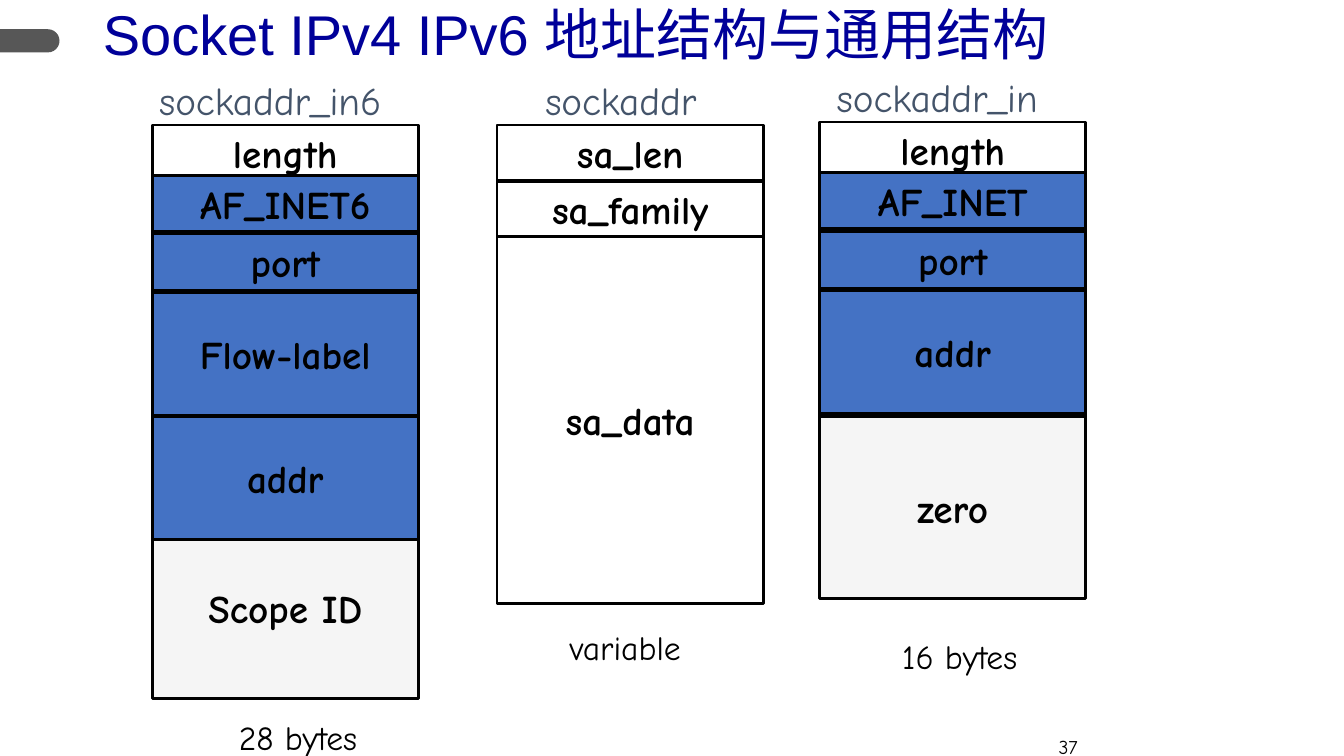
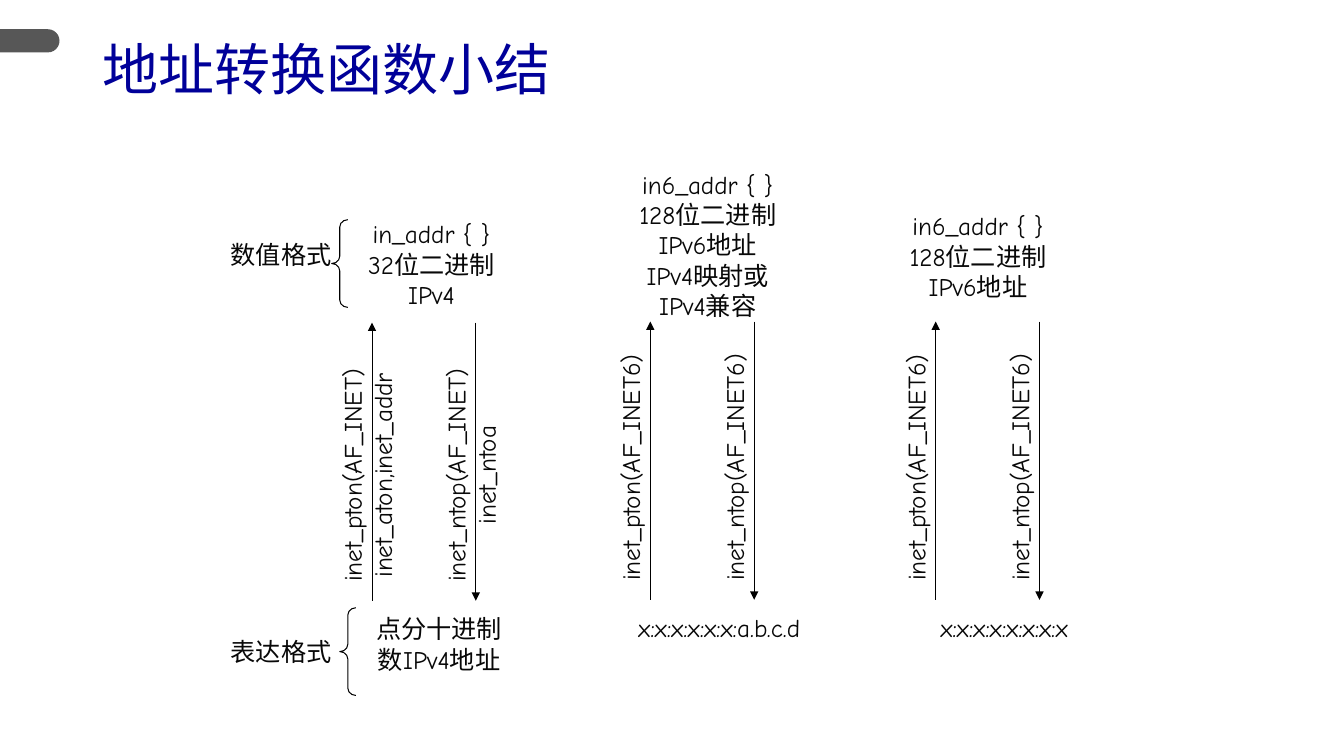
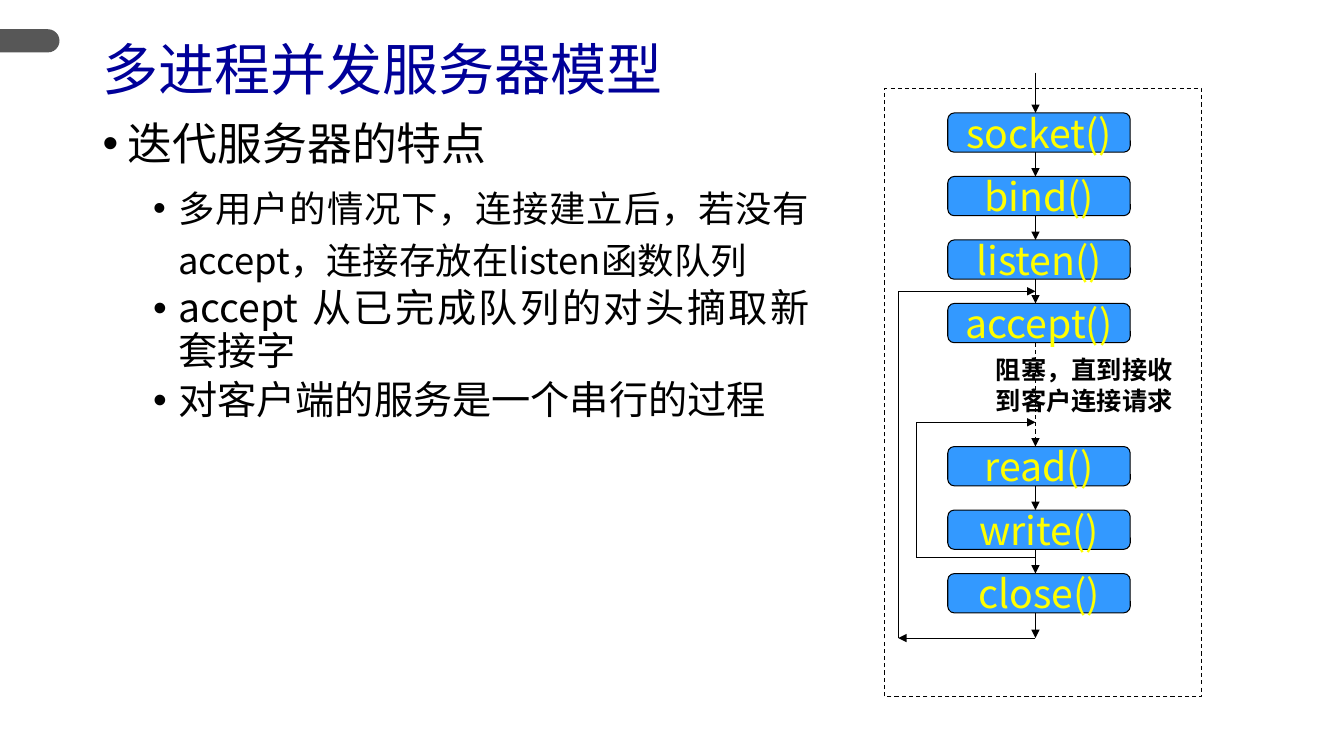
import dataclasses
import itertools

import lxml.etree
import pptx
import pptx.dml.color
import pptx.enum.dml
import pptx.enum.shapes
import pptx.enum.text
import pptx.oxml.ns
import pptx.util

SHAPE = pptx.enum.shapes.MSO_SHAPE
ALIGN = pptx.enum.text.PP_ALIGN
ANCHOR = pptx.enum.text.MSO_ANCHOR
DASH = pptx.enum.dml.MSO_LINE.DASH


@dataclasses.dataclass(frozen=True)
class Theme:
    black: str = "000000"
    ink: str = "080808"
    navy: str = "000099"
    slate: str = "44546A"
    gray: str = "575757"
    pale: str = "F5F5F5"
    blue: str = "4472C4"
    sky: str = "3399FF"
    yellow: str = "FFFF00"
    sans: str = "Arial"
    hand: str = "Comic Neue"
    cjk: str = "Noto Sans CJK SC"
    title: int = 40
    lead: int = 32
    large: int = 28
    item: int = 26
    note: int = 24
    label: int = 18
    page: int = 14
    thin: float = 0.75
    thick: float = 2


T = Theme()


def px(n):
    """Lengths are given at 100 px to the inch."""
    return pptx.util.Emu(n * 9144)


def rgb(code):
    return pptx.dml.color.RGBColor.from_string(code)


def sub(node, tag, **attrs):
    return lxml.etree.SubElement(node, pptx.oxml.ns.qn(tag), attrs)


def write(shape, text, size=T.label, color=T.ink, font=T.hand, bold=False,
          align=ALIGN.LEFT, anchor=ANCHOR.TOP, space=None, before=0,
          indent=None, more=False):
    """Write one paragraph per line of text; more adds to what is there."""
    frame = shape.text_frame
    frame.word_wrap = True
    frame.vertical_anchor = anchor
    for i, line in enumerate(text.split("\n")):
        para = frame.add_paragraph() if more or i else frame.paragraphs[0]
        para.alignment = align
        para.space_before = pptx.util.Pt(before)
        if space:
            para.line_spacing = space
        if indent:
            props = para._p.get_or_add_pPr()
            props.set("marL", str(px(indent)))
            props.set("indent", str(px(-25)))
            sub(props, "a:buFont", typeface=T.sans)
            sub(props, "a:buChar", char="•")
        run = para.add_run()
        run.text = line
        run.font.size = pptx.util.Pt(size)
        run.font.bold = bold
        run.font.name = font
        run.font.color.rgb = rgb(color)
        sub(run._r.get_or_add_rPr(), "a:ea", typeface=T.cjk)


def label(slide, box, text, **form):
    shape = slide.shapes.add_textbox(*map(px, box))
    write(shape, text, **form)
    return shape


def block(slide, box, kind=SHAPE.RECTANGLE, fill=None, line=T.black,
          width=T.thin, dash=None):
    shape = slide.shapes.add_shape(kind, *map(px, box))
    shape.shadow.inherit = False
    if fill:
        shape.fill.solid()
        shape.fill.fore_color.rgb = rgb(fill)
    else:
        shape.fill.background()
    if line:
        shape.line.color.rgb = rgb(line)
        shape.line.width = pptx.util.Pt(width)
        shape.line.dash_style = dash
    else:
        shape.line.fill.background()
    return shape


def wire(slide, x1, y1, x2, y2, tip=True, dash=None):
    """Draw a line, with an arrowhead at its end if tip is set."""
    kind = pptx.enum.shapes.MSO_CONNECTOR.STRAIGHT
    line = slide.shapes.add_connector(kind, *map(px, (x1, y1, x2, y2)))
    line.line.color.rgb = rgb(T.black)
    line.line.width = pptx.util.Pt(T.thin)
    line.line.dash_style = dash
    if tip:
        sub(line.line._get_or_add_ln(), "a:tailEnd", type="triangle")
    sub(line._element.spPr, "a:effectLst")


def brand(deck, slide):
    """Draw the side tab once and move it to the master."""
    tab = block(slide, (18, 11, 23, 59), SHAPE.ROUND_2_SAME_RECTANGLE,
                T.gray, None)
    tab.adjustments[0] = 0.5
    tab.rotation = 90
    deck.slide_master.shapes.element.append(tab.element)


def page(deck, text, top=29):
    slide = deck.slides.add_slide(deck.slide_layouts[5])
    head = slide.shapes.title
    head.left, head.top, head.width, head.height = map(px, (92, top, 1032, 86))
    write(head, text, size=T.title, color=T.navy, font=T.sans,
          anchor=ANCHOR.MIDDLE, space=0.9)
    return slide


def struct(slide, x, y, name, shift, fields, note, spot):
    """Stack fields of (text, top, height, fill) under a name."""
    label(slide, (x + shift, y - 53, 267, 57), name, size=T.large,
          color=T.slate)
    for text, top, high, fill in fields:
        cell = block(slide, (x, y + top, 264, high), fill=fill, width=T.thick)
        if text:
            write(cell, text, size=T.large, color=T.black, bold=True,
                  align=ALIGN.CENTER, anchor=ANCHOR.MIDDLE)
    label(slide, (x + spot[0], y + spot[1], 159, 51), note, size=T.note,
          color=T.black)


def pair(slide, x, y, up, down):
    """Draw an arrow up and one down, each with upright text."""
    wire(slide, x, y + 276, x, y)
    wire(slide, x + 103, y, x + 103, y + 276)
    for left, text in ((x, up), (x + 103, down)):
        wide = 81 if "\n" in text else 50
        side = label(slide, (left - 40, y + 8, wide, 259), text,
                     align=ALIGN.CENTER)
        side.rotation = 180
        side.text_frame._txBody.bodyPr.set("vert", "eaVert")


def form(slide, x, y, text, brace):
    label(slide, (x, y, 130, 40), text, font=T.sans)
    curve = block(slide, (*brace, 16, 87), SHAPE.LEFT_BRACE)
    curve.adjustments[0] = 0.457


def points(slide, box):
    body = slide.shapes.add_textbox(*map(px, box))
    base = dict(color=T.black, font=T.cjk, align=ALIGN.JUSTIFY)
    write(body, "迭代服务器的特点", size=T.lead, space=0.9, indent=25, **base)
    rows = (
        ("多用户的情况下，连接建立后，若没有accept，连接存放在listen函数队列",
         T.item, 1.2),
        ("accept 从已完成队列的对头摘取新套接字", T.large, 0.9),
        ("对客户端的服务是一个串行的过程", T.large, 0.9),
    )
    for text, size, space in rows:
        write(body, text, size=size, space=space, before=5, indent=75,
              more=True, **base)


def loop(slide, x, low, high, mid):
    """Lead from the axis mid at low round by x to the axis at high."""
    wire(slide, x, low, x, high, tip=False)
    wire(slide, x, high, mid, high)


def flow(slide, x, y):
    block(slide, (x, y, 315, 603), dash=DASH)
    mid, tall, step = x + 150, 39, 63
    calls = ("socket()", "bind()", "listen()", "accept()",
             "read()", "write()", "close()")
    tops = [y + 24 + step * i + (79 if i > 3 else 0)
            for i in range(len(calls))]
    for call, top in zip(calls, tops):
        cell = block(slide, (x + 63, top, 181, tall),
                     SHAPE.ROUNDED_RECTANGLE, T.sky)
        write(cell, call, size=T.large, color=T.yellow, font=T.cjk,
              align=ALIGN.CENTER, anchor=ANCHOR.MIDDLE)
    wire(slide, mid, y - 16, mid, tops[0])
    for top, after in itertools.pairwise(tops):
        wait = after - top > step
        wire(slide, mid, top + tall, mid, after, dash=DASH if wait else None)
    end = y + 545
    wire(slide, mid, tops[-1] + tall, mid, end)
    wire(slide, mid, y + 465, x + 32, y + 465, tip=False)
    loop(slide, x + 32, y + 465, y + 331, mid)
    wire(slide, mid, end, x + 14, end)
    loop(slide, x + 14, end, y + 201, mid)
    label(slide, (x + 101, y + 259, 205, 71), "阻塞，直到接收\n到客户连接请求",
          color=T.black, font=T.cjk, bold=True)


def structs(deck):
    slide = page(deck, "Socket IPv4 IPv6 地址结构与通用结构", -6)
    brand(deck, slide)
    struct(slide, 493, 124, "sockaddr", 38, (
        ("sa_len", 0, 56, None),
        ("sa_family", 55, 56, None),
        ("sa_data", 111, 364, None),
    ), "variable", (62, 493))
    struct(slide, 813, 121, "sockaddr_in", 7, (
        ("length", 0, 56, None),
        ("", 50, 422, T.black),
        ("AF_INET", 50, 56, T.blue),
        ("port", 109, 56, T.blue),
        ("addr", 167, 122, T.blue),
        ("zero", 292, 181, T.pale),
    ), "16 bytes", (72, 505))
    struct(slide, 151, 124, "sockaddr_in6", -3, (
        ("length", 0, 56, None),
        ("", 50, 422, T.black),
        ("AF_INET6", 50, 56, T.blue),
        ("port", 108, 56, T.blue),
        ("Flow-label", 166, 122, T.blue),
        ("Scope ID", 388, 181, T.pale),
        ("addr", 289, 122, T.blue),
    ), "28 bytes", (76, 582))
    label(slide, (1040, 724, 68, 50), "37", size=T.page, color=T.black)


def convert(deck):
    slide = page(deck, "地址转换函数小结")
    form(slide, 219, 233, "数值格式", (329, 218))
    form(slide, 219, 626, "表达格式", (337, 603))
    ends = (
        ((355, 212, 146, 100), "in_addr { }\n32位二进制\nIPv4"),
        ((361, 604, 149, 70), "点分十进制\n数IPv4地址"),
        ((616, 163, 172, 160),
         "in6_addr { }\n128位二进制\nIPv6地址\nIPv4映射或\nIPv4兼容"),
        ((600, 603, 227, 40), "x:x:x:x:x:x:a.b.c.d"),
        ((884, 204, 172, 100), "in6_addr { }\n128位二进制\nIPv6地址"),
        ((901, 603, 190, 40), "x:x:x:x:x:x:x:x"),
    )
    for box, text in ends:
        label(slide, box, text, align=ALIGN.CENTER)
    pair(slide, 369, 320, "inet_pton(AF_INET)\ninet_aton,inet_addr",
         "inet_ntop(AF_INET)\ninet_ntoa")
    for x in (645, 928):
        pair(slide, x, 319, "inet_pton(AF_INET6)", "inet_ntop(AF_INET6)")


def server(deck):
    slide = page(deck, "多进程并发服务器模型")
    points(slide, (92, 116, 721, 615))
    flow(slide, 877, 88)


def main():
    deck = pptx.Presentation()
    deck.slide_width, deck.slide_height = px(1333), px(750)
    for build in (structs, convert, server):
        build(deck)
    deck.save("out.pptx")


if __name__ == "__main__":
    main()
